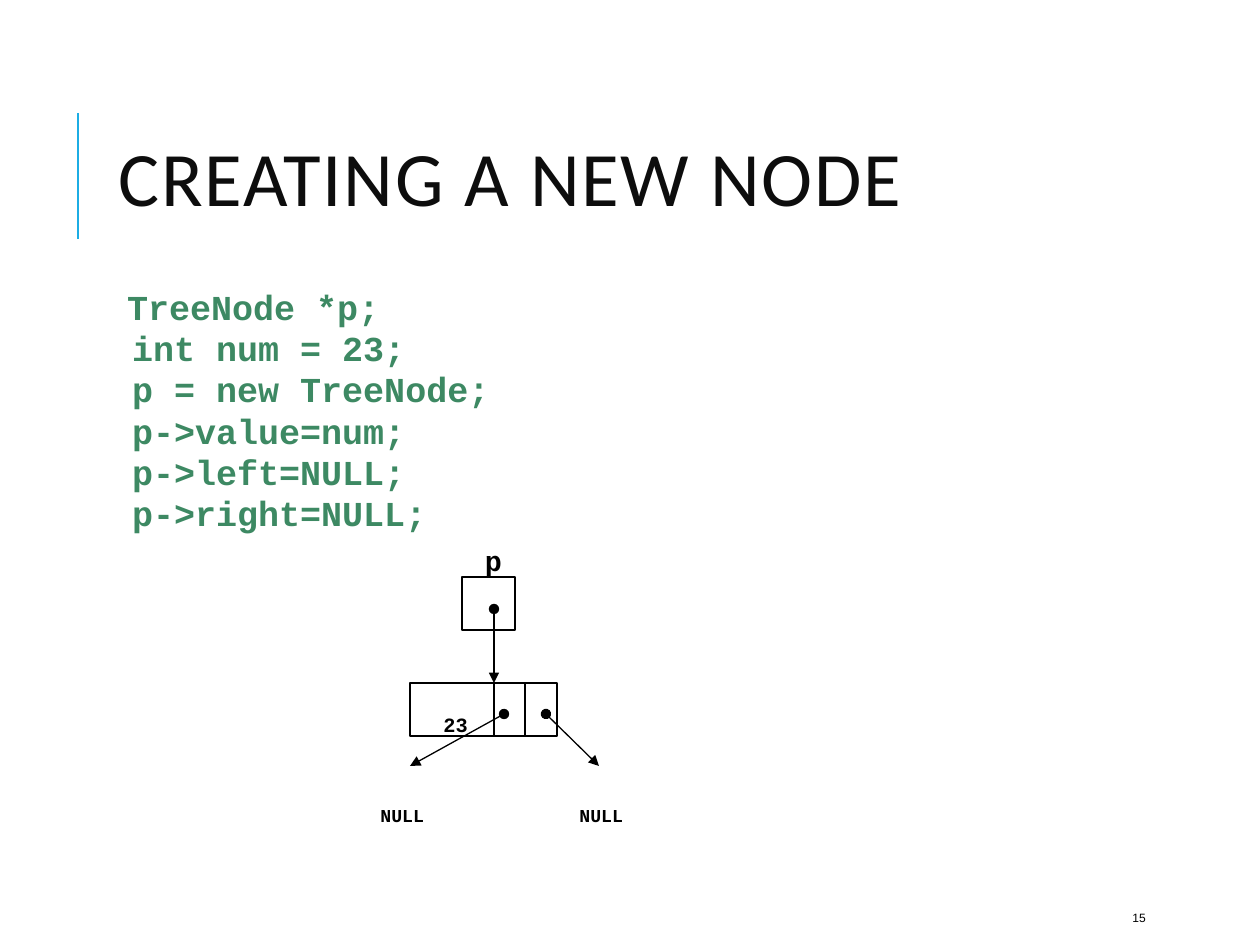
from lxml.etree import SubElement
from pptx import Presentation
from pptx.dml.color import RGBColor
from pptx.enum.shapes import MSO_CONNECTOR as Connector, MSO_SHAPE as Shape
from pptx.enum.text import MSO_ANCHOR as Anchor, MSO_AUTO_SIZE as AutoSize, PP_ALIGN as Align
from pptx.oxml.ns import qn
from pptx.util import Emu, Pt

PX_PER_INCH = 126
BLACK = RGBColor(0x00, 0x00, 0x00)
TITLE_INK = RGBColor(0x0D, 0x0D, 0x0D)
CODE_GREEN = RGBColor(0x3D, 0x89, 0x63)
ACCENT_BLUE = RGBColor(0x1C, 0xAD, 0xE4)

CODE = [
    "TreeNode *p;",
    "int num = 23;",
    "p = new TreeNode;",
    "p->value=num;",
    "p->left=NULL;",
    "p->right=NULL;",
]


def px(length):
    return Emu(round(length * 914400 / PX_PER_INCH))


def place(shape, left, top, width, height):
    shape.left, shape.top = px(left), px(top)
    shape.width, shape.height = px(width), px(height)


def style(paragraph, name, size, color, bold=False):
    font = paragraph.font
    font.name, font.size, font.bold = name, Pt(size), bold
    font.color.rgb = color


def set_run_property(paragraph, name, value):
    for run in paragraph.runs:
        run._r.get_or_add_rPr().set(name, str(value))


def add_title(slide, text):
    title = slide.shapes.title
    place(title, 106, 81, 1004, 207)
    frame = title.text_frame
    frame.text = text
    frame.vertical_anchor = Anchor.MIDDLE
    frame.auto_size = AutoSize.NONE
    heading = frame.paragraphs[0]
    heading.alignment = Align.LEFT
    heading.line_spacing = 0.8
    style(heading, "Calibri", 44, TITLE_INK)
    set_run_property(heading, "spc", 100)


def add_code(slide, lines):
    body = slide.placeholders[1]
    place(body, 105, 284, 935, 567)
    frame = body.text_frame
    frame.text = "\n".join(lines)
    frame.auto_size = AutoSize.NONE
    frame.margin_left = frame.margin_right = px(6)
    frame.margin_top = frame.margin_bottom = px(6)
    for number, paragraph in enumerate(frame.paragraphs):
        paragraph.line_spacing = 0.9
        paragraph.space_before = Pt(0 if number else 12)
        paragraph.space_after = Pt(2)
        properties = paragraph._p.get_or_add_pPr()
        properties.set("marL", str(px(21 if number else 16)))
        properties.set("indent", "0")
        SubElement(properties, qn("a:buNone"))
        style(paragraph, "Courier New", 20, CODE_GREEN, bold=True)


def add_label(slide, text, box, size, name="Courier New", bold=True,
              align=Align.LEFT, anchor=Anchor.TOP, wrap=False):
    """Add a label set as subscript, like every small text here."""
    left, top, width, height = map(px, box)
    frame = slide.shapes.add_textbox(left, top, width, height).text_frame
    frame.word_wrap = wrap
    frame.vertical_anchor = anchor
    frame.text = text
    paragraph = frame.paragraphs[0]
    paragraph.alignment = align
    style(paragraph, name, size, BLACK, bold)
    set_run_property(paragraph, "baseline", -25000)


def add_cell(slide, left, top, width, height=53):
    cell = slide.shapes.add_shape(Shape.RECTANGLE, px(left), px(top), px(width), px(height))
    cell.shadow.inherit = False
    cell.fill.background()
    cell.line.color.rgb = BLACK
    cell.line.width = Pt(0.75)


def add_line(slide, start, end, color, width):
    line = slide.shapes.add_connector(Connector.STRAIGHT, *map(px, start + end))
    line.line.color.rgb = color
    line.line.width = Pt(width)
    SubElement(line._element.spPr, qn("a:effectLst"))
    return line


def add_pointer(slide, start, end):
    pointer = add_line(slide, start, end, BLACK, 0.75)
    outline = pointer.line._get_or_add_ln()
    SubElement(outline, qn("a:headEnd"), type="oval")
    SubElement(outline, qn("a:tailEnd"), type="triangle")


def main():
    deck = Presentation()
    deck.slide_width, deck.slide_height = px(1260), px(945)
    slide = deck.slides.add_slide(deck.slide_layouts[1])

    # Heading with its accent bar, and the code
    add_line(slide, (78, 239), (78, 113), ACCENT_BLUE, 1.5)
    add_title(slide, "CREATING A NEW NODE")
    add_code(slide, CODE)

    # Pointer variable p
    add_label(slide, "p", (462, 504, 63, 53), 28, align=Align.CENTER, wrap=True)
    add_cell(slide, 462, 577, 53)

    # Node: value, left link, right link
    for left, width in ((410, 84), (494, 31), (525, 32)):
        add_cell(slide, left, 683, width)
    add_label(slide, "23", (431, 683, 67, 54), 20)

    # Links, and the empty children
    for start, end in (
        ((494, 609), (494, 683)),
        ((504, 714), (410, 766)),
        ((546, 714), (599, 766)),
    ):
        add_pointer(slide, start, end)
    for left in (368, 567):
        add_label(slide, "NULL", (left, 777, 101, 50), 18)

    # Slide number
    add_label(slide, "15", (1120, 892, 101, 38), 12, name="Arial", bold=False,
              anchor=Anchor.MIDDLE, wrap=True)

    deck.save("out.pptx")


if __name__ == "__main__":
    main()
